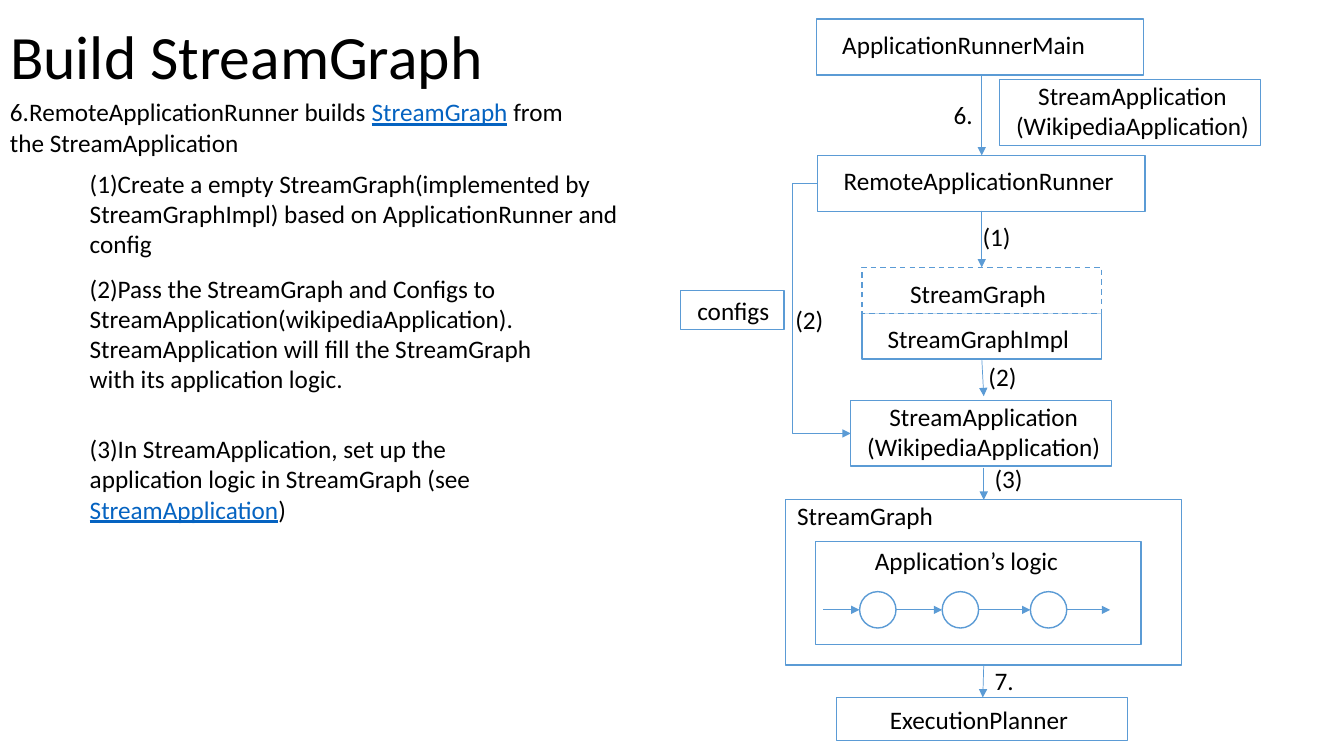
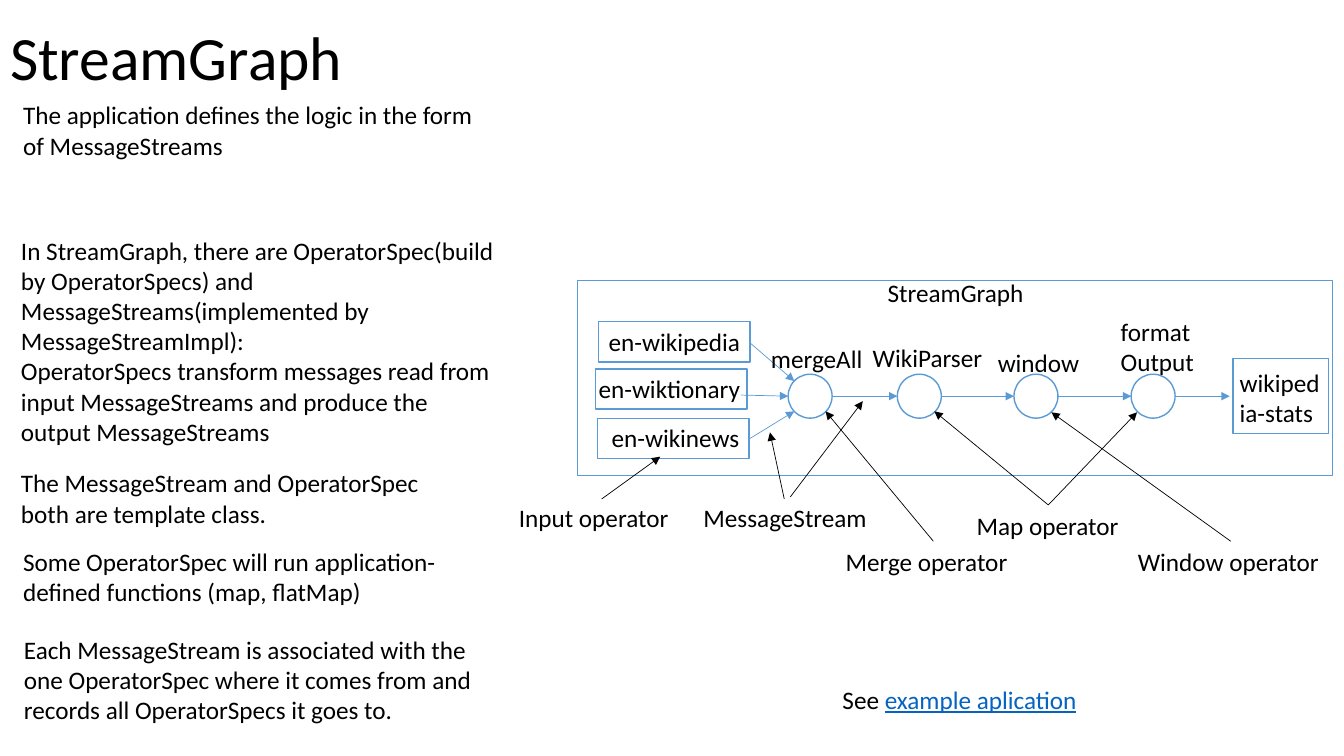
from dataclasses import dataclass
from typing import NamedTuple, Optional, Sequence, Union

import lxml.etree
import pptx
import pptx.dml.color
import pptx.enum.dml
import pptx.enum.shapes
import pptx.enum.text
import pptx.oxml.ns
import pptx.presentation
import pptx.shapes.base
import pptx.slide
import pptx.text.text
import pptx.util

Pt = pptx.util.Pt
qn = pptx.oxml.ns.qn
Shapes = pptx.enum.shapes.MSO_SHAPE
Align = pptx.enum.text.PP_ALIGN

COLORS = {"text": "000000", "link": "0563C1", "line": "5B9BD5", "fill": "FFFFFF"}
FONT = "Calibri"
TITLE_SIZE, TEXT_SIZE = 44, 18
LINE_HEIGHT, INSETS = 21.6, 7.2
TITLE_ONLY = 5


class Span(NamedTuple):
    text: str
    linked: bool = False


Paragraph = Union[str, Sequence[Span]]


@dataclass(frozen=True)
class Outline:
    left: float
    top: float
    width: float
    height: float
    shape: int = Shapes.RECTANGLE
    dashed: bool = False


@dataclass(frozen=True)
class Label:
    left: float
    top: float
    width: float
    paragraphs: Sequence[Paragraph]
    lines: int = 1
    align: int = Align.LEFT


@dataclass(frozen=True)
class Arrow:
    """An arrow; bend places the middle of an elbow, as a share of its width."""
    x1: float
    y1: float
    x2: float
    y2: float
    color: str = "line"
    bend: Optional[float] = None


def rgb(name: str) -> pptx.dml.color.RGBColor:
    return pptx.dml.color.RGBColor.from_string(COLORS[name])


def add_span(para: pptx.text.text._Paragraph, span: Span, size: float) -> None:
    run = para.add_run()
    run.text = span.text
    run.font.name = FONT
    run.font.size = Pt(size)
    run.font.color.rgb = rgb("link" if span.linked else "text")
    if span.linked:
        run.font.underline = True


def draw_outline(page: pptx.slide.Slide, outline: Outline) -> None:
    box = page.shapes.add_shape(outline.shape, Pt(outline.left), Pt(outline.top),
                                Pt(outline.width), Pt(outline.height))
    box.shadow.inherit = False
    box.fill.solid()
    box.fill.fore_color.rgb = rgb("fill")
    box.line.color.rgb = rgb("line")
    box.line.width = Pt(1)
    if outline.dashed:
        box.line.dash_style = pptx.enum.dml.MSO_LINE.DASH


def draw_label(page: pptx.slide.Slide, label: Label) -> None:
    height = label.lines * LINE_HEIGHT + INSETS
    box = page.shapes.add_textbox(Pt(label.left), Pt(label.top), Pt(label.width), Pt(height))
    frame = box.text_frame
    frame.word_wrap = True
    frame.auto_size = pptx.enum.text.MSO_AUTO_SIZE.SHAPE_TO_FIT_TEXT
    for index, content in enumerate(label.paragraphs):
        para = frame.add_paragraph() if index else frame.paragraphs[0]
        para.alignment = label.align
        for span in (Span(content),) if isinstance(content, str) else content:
            add_span(para, span, TEXT_SIZE)


def draw_arrow(page: pptx.slide.Slide, arrow: Arrow) -> None:
    kinds = pptx.enum.shapes.MSO_CONNECTOR
    kind = kinds.STRAIGHT if arrow.bend is None else kinds.ELBOW
    connector = page.shapes.add_connector(kind, Pt(arrow.x1), Pt(arrow.y1),
                                          Pt(arrow.x2), Pt(arrow.y2))
    connector.line.color.rgb = rgb(arrow.color)
    connector.line.width = Pt(0.5)
    properties = connector._element.spPr
    lxml.etree.SubElement(properties.find(qn("a:ln")), qn("a:tailEnd"), type="triangle")
    lxml.etree.SubElement(properties, qn("a:effectLst"))
    if arrow.bend is not None:
        adjustments = properties.find(qn("a:prstGeom")).get_or_add_avLst()
        lxml.etree.SubElement(adjustments, qn("a:gd"), name="adj1",
                              fmla=f"val {round(arrow.bend * 100000)}")


def draw_all(page: pptx.slide.Slide, outlines: Sequence[Outline],
             arrows: Sequence[Arrow], labels: Sequence[Label]) -> None:
    for outline in outlines:
        draw_outline(page, outline)
    for arrow in arrows:
        draw_arrow(page, arrow)
    for label in labels:
        draw_label(page, label)


def operator_chain(lefts: Sequence[float], middle: float, diameter: float, end: float,
                   start: Optional[float] = None) -> tuple[list[Outline], list[Arrow]]:
    """Circles on one line, joined by arrows that run on to end."""
    circles = [Outline(left, middle - diameter / 2, diameter, diameter, Shapes.OVAL)
               for left in lefts]
    tails = [left + diameter for left in lefts]
    heads = [*lefts[1:], end]
    if start is not None:
        tails.insert(0, start)
        heads.insert(0, lefts[0])
    return circles, [Arrow(tail, middle, head, middle) for tail, head in zip(tails, heads)]


def add_page(deck: pptx.presentation.Presentation, title: str, top: float) -> pptx.slide.Slide:
    page = deck.slides.add_slide(deck.slide_layouts[TITLE_ONLY])
    box = page.shapes.title
    box.left, box.top, box.width, box.height = Pt(0), Pt(top), Pt(828), Pt(104.4)
    frame = box.text_frame
    frame.word_wrap = True
    frame.auto_size = pptx.enum.text.MSO_AUTO_SIZE.NONE
    frame.vertical_anchor = pptx.enum.text.MSO_ANCHOR.MIDDLE
    para = frame.paragraphs[0]
    para.alignment = Align.LEFT
    para.line_spacing = 0.9
    add_span(para, Span(title), TITLE_SIZE)
    return page


def build_steps_page(deck: pptx.presentation.Presentation) -> None:
    page = add_page(deck, "Build StreamGraph", -10)
    application_corners = [(714, 57), (607.7, 286)]
    circles, chain = operator_chain([614, 673, 736], 435.6, 26, end=793, start=588)
    outlines = [
        Outline(583, 13.5, 234, 40),
        Outline(584, 111, 234, 40),
        Outline(615.6, 224, 171.4, 32.4),
        Outline(615.6, 191, 171.4, 33, dashed=True),
        Outline(486, 207.4, 74, 28),
        Outline(561, 357, 283, 118),
        Outline(582.5, 386.6, 232.6, 74),
        Outline(597.6, 498.2, 208, 31),
        *(Outline(left, top, 186.5, 47) for left, top in application_corners),
        *circles,
    ]
    arrows = [
        Arrow(701.3, 54, 701.3, 111),
        Arrow(701.3, 150.5, 701.3, 191),
        Arrow(701.3, 256.3, 702.7, 283),
        Arrow(702.7, 334, 702.7, 357),
        Arrow(702.7, 475, 702, 498.2),
        Arrow(584, 131, 607.7, 309.6, bend=-0.76),
        *chain,
    ]
    labels = [
        Label(0, 65.5, 428.4, [[Span("6.RemoteApplicationRunner builds "),
                                Span("StreamGraph", linked=True),
                                Span(" from the StreamApplication")]], lines=2),
        Label(57, 116.6, 392.4, [
            "(1)Create a empty StreamGraph(implemented by StreamGraphImpl) "
            "based on ApplicationRunner and config"], lines=3),
        Label(57, 191.5, 347.8, [
            "(2)Pass the StreamGraph and Configs to StreamApplication(wikipediaApplication). "
            "StreamApplication will fill the StreamGraph with its application logic."], lines=4),
        Label(57, 306, 329.8, [[
            Span("(3)In StreamApplication, set up the application logic in StreamGraph (see "),
            Span("StreamApplication", linked=True), Span(")")]], lines=3),
        Label(594.5, 17.3, 231, ["ApplicationRunnerMain"]),
        Label(595.5, 114.5, 231, ["RemoteApplicationRunner"]),
        Label(627, 227.5, 149, ["StreamGraphImpl"]),
        Label(643, 195, 144, ["StreamGraph"]),
        Label(491, 207.4, 70, ["configs"]),
        Label(562.3, 354.2, 160, ["StreamGraph"]),
        Label(617.8, 386, 157, ["Application’s logic"]),
        Label(628.6, 499.7, 163, ["ExecutionPlanner"]),
        Label(674, 67.7, 32, ["6."]),
        Label(694.8, 154.8, 40, ["(1)"]),
        Label(699, 254.2, 39, ["(2)"]),
        Label(561, 213.8, 39, ["(2)"]),
        Label(703.4, 327.6, 39, ["(3)"]),
        Label(703.4, 471.6, 39, ["7."]),
        *(Label(left + 3, top - 3, 184, ["StreamApplication", "(WikipediaApplication)"],
                lines=2, align=Align.CENTER) for left, top in application_corners),
    ]
    draw_all(page, outlines, arrows, labels)


def build_graph_page(deck: pptx.presentation.Presentation) -> None:
    page = add_page(deck, "StreamGraph", -8.6)
    circles, chain = operator_chain([563, 641, 724.3, 808], 283, 31.4, end=878.4)
    outlines = [
        Outline(412.6, 200.2, 539.3, 139.7),
        Outline(427.7, 229.7, 108, 28.8),
        Outline(425.5, 263.5, 108, 28.8),
        Outline(427, 298.8, 108, 28.8),
        Outline(880.6, 256.3, 68.4, 53.3),
        *circles,
    ]
    pointers = [
        (429.8, 356.4, 471.6, 326.2),
        (560.2, 356.4, 550, 308.9),
        (564.5, 355, 616.3, 286.6),
        (666.7, 386.6, 589.7, 293.8),
        (748.8, 360.7, 667.4, 293.8),
        (748.8, 360.7, 812.2, 294.5),
        (879.1, 386.6, 751, 294.5),
    ]
    arrows = [
        Arrow(536.4, 245.5, 567.4, 272.2),
        Arrow(529.2, 282.2, 563, 283),
        Arrow(535.7, 313.2, 567.4, 293.8),
        *chain,
        *(Arrow(*ends, color="text") for ends in pointers),
    ]
    labels = [
        Label(9.4, 67.7, 354.2, [
            "The application defines the logic in the form of MessageStreams"], lines=2),
        Label(7.9, 164.2, 358.6, [
            "In StreamGraph, there are OperatorSpec(build by OperatorSpecs) and "
            "MessageStreams(implemented by MessageStreamImpl):",
            "OperatorSpecs transform messages read from input MessageStreams and "
            "produce the output MessageStreams"], lines=7),
        Label(7.9, 330.5, 321.8, [
            "The MessageStream and OperatorSpec both are template class."], lines=2),
        Label(9.4, 386.6, 323.3, [
            "Some OperatorSpec will run application-defined functions (map, flatMap)"], lines=2),
        Label(10, 449.3, 352.8, [
            "Each MessageStream is associated with the one OperatorSpec where it comes from "
            "and records all OperatorSpecs it goes to."], lines=3),
        Label(627, 194.4, 160, ["StreamGraph"]),
        Label(427.7, 229.7, 114, ["en-wikipedia"]),
        Label(420.5, 262.8, 119.5, ["en-wiktionary"]),
        Label(429.8, 298, 119.5, ["en-wikinews"]),
        Label(543.6, 242, 85.7, ["mergeAll"]),
        Label(616.3, 241.2, 98.6, ["WikiParser"]),
        Label(705.6, 244.8, 82, ["window"]),
        Label(793.4, 222.5, 68.4, ["formatOutput"], lines=2),
        Label(878.4, 258.5, 72.7, ["wikipedia-stats"], lines=2),
        Label(363.6, 355, 136, ["Input operator"]),
        Label(495.4, 355, 139, ["MessageStream"]),
        Label(596.9, 386.6, 140.4, ["Merge operator"]),
        Label(690.5, 360.7, 117.4, ["Map operator"]),
        Label(805.7, 386.6, 146.2, ["Window operator"]),
        Label(594.7, 485.3, 234.7, [[Span("See "), Span("example aplication", linked=True)]]),
    ]
    draw_all(page, outlines, arrows, labels)


def main() -> None:
    deck = pptx.Presentation()
    deck.slide_width, deck.slide_height = Pt(960), Pt(540)
    build_steps_page(deck)
    build_graph_page(deck)
    deck.save("out.pptx")


if __name__ == "__main__":
    main()
